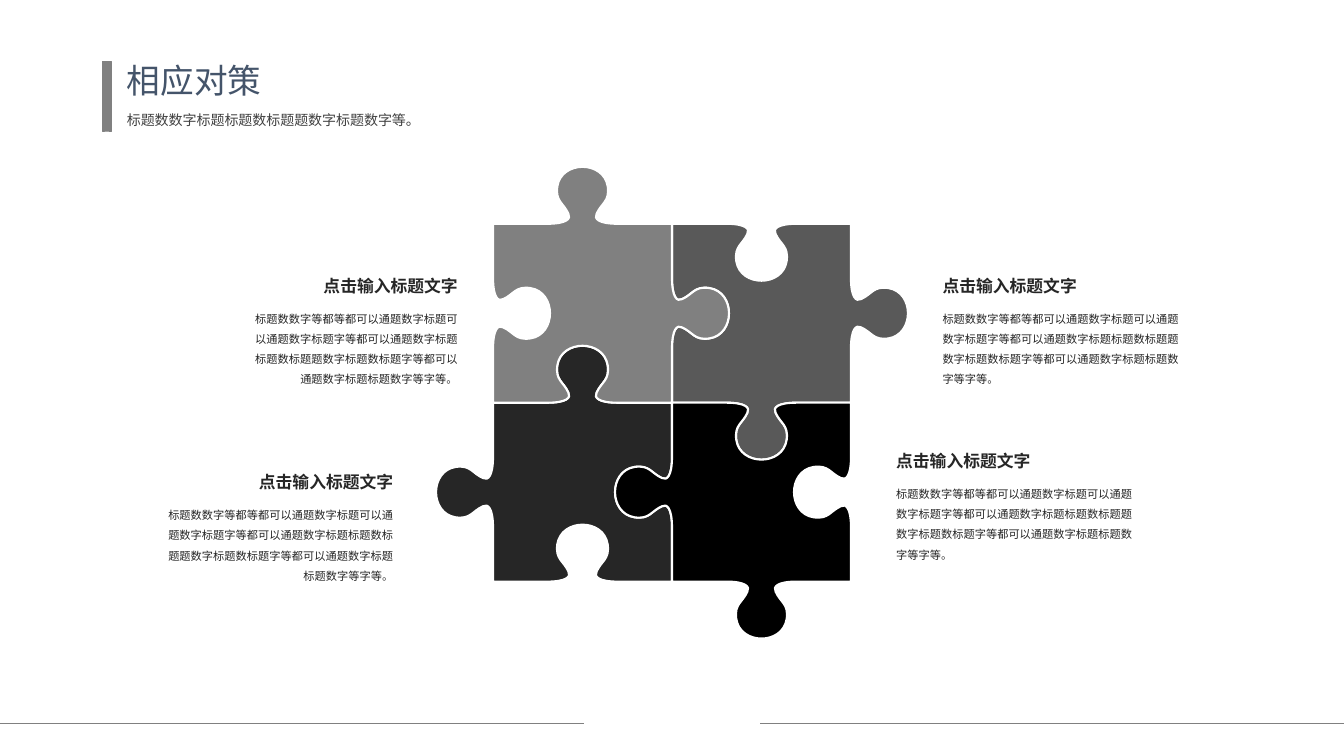
from dataclasses import dataclass

from pptx import Presentation
from pptx.dml.color import RGBColor
from pptx.enum.shapes import MSO_CONNECTOR as CONNECTOR, MSO_SHAPE as SHAPE
from pptx.enum.text import MSO_AUTO_SIZE as AUTO_SIZE, PP_ALIGN as ALIGN
from pptx.oxml.ns import qn
from pptx.util import Pt

PX = 9144  # EMU in one px, 100 px to the inch


@dataclass(frozen=True)
class Theme:
    font: str = "Noto Sans CJK SC"
    heading: str = "44546A"
    subtitle: str = "404040"
    ink: str = "262626"
    rule: str = "808080"
    seam: str = "FFFFFF"
    light: str = "808080"
    medium: str = "595959"
    dark: str = "262626"
    black: str = "000000"
    heading_pt: int = 24
    subtitle_pt: int = 10
    caption_pt: int = 12
    detail_pt: int = 8
    rule_pt: float = 0.5
    seam_pt: float = 1.5


THEME = Theme()

CAPTION = "点击输入标题文字"
DETAIL = ("标题数数字等都等都可以通题数字标题可以通题数字标题字等都可以通题数字标题"
          "标题数标题题数字标题数标题字等都可以通题数字标题标题数字等字等。")

# One knob around the middle of an edge, as (along, outward) px:
# its foot, then three points for each cubic curve
KNOB_FOOT = (-35, 0)
KNOB_CURVES = [
    (-16, 0), (-11, 5), (-14, 10),
    (-19, 21), (-27, 22), (-25, 37),
    (-21, 63), (21, 63), (25, 37),
    (27, 22), (19, 21), (14, 10),
    (11, 5), (16, 0), (35, 0),
]
OUT, IN = 1, -1

# Column, row, colour, and knob direction on the top, right, bottom, left edge
PIECES = [
    (1, 0, THEME.medium, (IN, OUT, OUT, IN)),
    (0, 1, THEME.dark, (OUT, IN, IN, OUT)),
    (0, 0, THEME.light, (OUT, OUT, IN, IN)),
    (1, 1, THEME.black, (IN, IN, OUT, OUT)),
]

# Left, caption top, detail top, caption width, detail width, alignment
CALLOUTS = [
    (117, 269, 298, 347, 226, ALIGN.RIGHT),
    (80, 463, 493, 320, 245, ALIGN.RIGHT),
    (925, 269, 298, 347, 256, ALIGN.LEFT),
    (879, 442, 472, 347, 256, ALIGN.LEFT),
]


def emu(px):
    return round(px * PX)


def rgb(color):
    return RGBColor.from_string(color)


def paint(shape, fill, line, width):
    shape.shadow.inherit = False
    shape.fill.solid()
    shape.fill.fore_color.rgb = rgb(fill)
    shape.line.color.rgb = rgb(line)
    shape.line.width = Pt(width)


def add_text(shapes, box, words, size, color, bold=False,
             align=ALIGN.LEFT, spacing=None):
    frame = shapes.add_textbox(*map(emu, box)).text_frame
    frame.word_wrap = True
    frame.auto_size = AUTO_SIZE.SHAPE_TO_FIT_TEXT
    paragraph = frame.paragraphs[0]
    paragraph.alignment = align
    if spacing:
        paragraph.line_spacing = spacing
    run = paragraph.add_run()
    run.text = words
    run.font.name = THEME.font
    run.font.size = Pt(size)
    run.font.bold = bold
    run.font.color.rgb = rgb(color)
    # East Asian typeface follows the Latin one
    latin = run.font._element.find(qn("a:latin"))
    latin.addnext(latin.makeelement(qn("a:ea"), {"typeface": THEME.font}))


def add_header(slide, left, top, height):
    # Accent bar
    bar = slide.shapes.add_shape(SHAPE.RECTANGLE, emu(left), emu(top),
                                 emu(8), emu(height))
    paint(bar, THEME.rule, THEME.rule, THEME.rule_pt)
    # Heading and subtitle
    titles = slide.shapes.add_group_shape().shapes
    add_text(titles, (left + 14, top + 1, 334, 43), "相应对策",
             THEME.heading_pt, THEME.heading, spacing=0.8)
    add_text(titles, (left + 14, top + 45, 376, 27),
             "标题数数字标题标题数标题题数字标题数字等。",
             THEME.subtitle_pt, THEME.subtitle)


def piece_outline(left, top, side, knobs):
    """Clockwise points from the top left, turning a quarter at each corner."""
    x, y, dx, dy = left, top, 1, 0
    outline = [(x, y)]
    for direction in knobs:
        for along, outward in [KNOB_FOOT, *KNOB_CURVES]:
            run, rise = side / 2 + along, outward * direction
            outline.append((x + dx * run + dy * rise, y + dy * run - dx * rise))
        x, y = x + dx * side, y + dy * side
        outline.append((x, y))
        dx, dy = -dy, dx
    return [(emu(across), emu(down)) for across, down in outline]


def curve_knobs(piece):
    """Join the knob points of each edge, three by three, into cubic curves."""
    lines = list(piece._element.iter(qn("a:lnTo")))
    edge_length = len(KNOB_CURVES) + 2
    for edge in range(0, len(lines), edge_length):
        knob = lines[edge + 1:edge + edge_length - 1]
        for first in range(0, len(knob), 3):
            trio = knob[first:first + 3]
            curve = trio[0].makeelement(qn("a:cubicBezTo"), {})
            trio[0].addprevious(curve)
            for line in trio:
                curve.append(line[0])
                line.getparent().remove(line)


def add_puzzle(slide, left, top, size):
    side = size / 2
    for column, row, color, knobs in PIECES:
        corner, *rest = piece_outline(left + column * side, top + row * side,
                                      side, knobs)
        builder = slide.shapes.build_freeform(*corner)
        builder.add_line_segments(rest, close=True)
        piece = builder.convert_to_shape()
        curve_knobs(piece)
        paint(piece, color, THEME.seam, THEME.seam_pt)


def add_callout(slide, left, caption_top, detail_top, caption_width,
                detail_width, align):
    add_text(slide.shapes, (left, caption_top, caption_width, 30), CAPTION,
             THEME.caption_pt, THEME.ink, bold=True, align=align)
    # The detail shares the caption's aligned edge
    if align == ALIGN.RIGHT:
        left += caption_width - detail_width
    add_text(slide.shapes, (left, detail_top, detail_width, 91), DETAIL,
             THEME.detail_pt, THEME.ink, align=align, spacing=1.5)


def add_footer(slide, top, width, length):
    for start in (0, width - length):
        rule = slide.shapes.add_connector(CONNECTOR.STRAIGHT, emu(start), emu(top),
                                          emu(start + length), emu(top))
        rule.line.color.rgb = rgb(THEME.rule)
        rule.line.width = Pt(THEME.rule_pt)
        properties = rule._element.spPr
        properties.append(properties.makeelement(qn("a:effectLst"), {}))


def main():
    deck = Presentation()
    deck.slide_width, deck.slide_height = emu(1333), emu(750)
    slide = deck.slides.add_slide(deck.slide_layouts[6])
    add_footer(slide, 718, 1333, 579)
    add_header(slide, 102, 61, 69)
    add_puzzle(slide, 489, 222, 355)
    for callout in CALLOUTS:
        add_callout(slide, *callout)
    deck.save("out.pptx")


if __name__ == "__main__":
    main()
